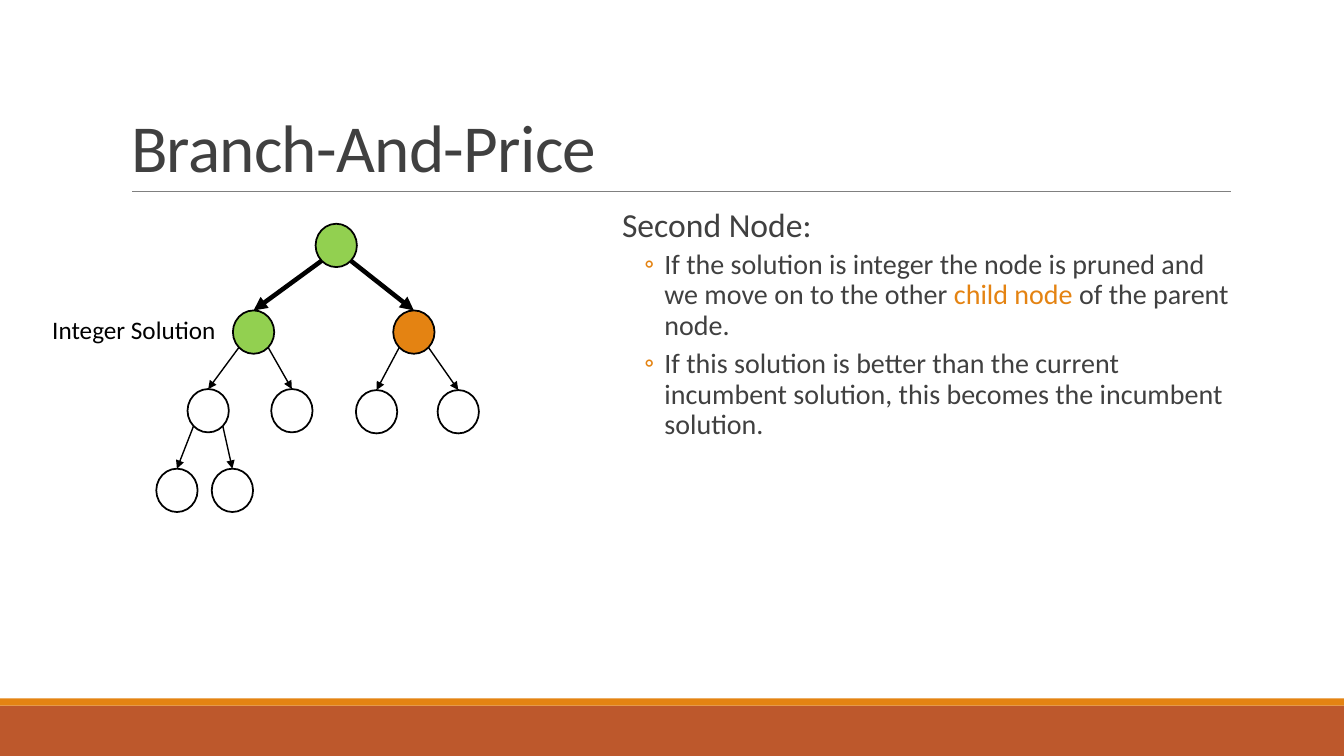
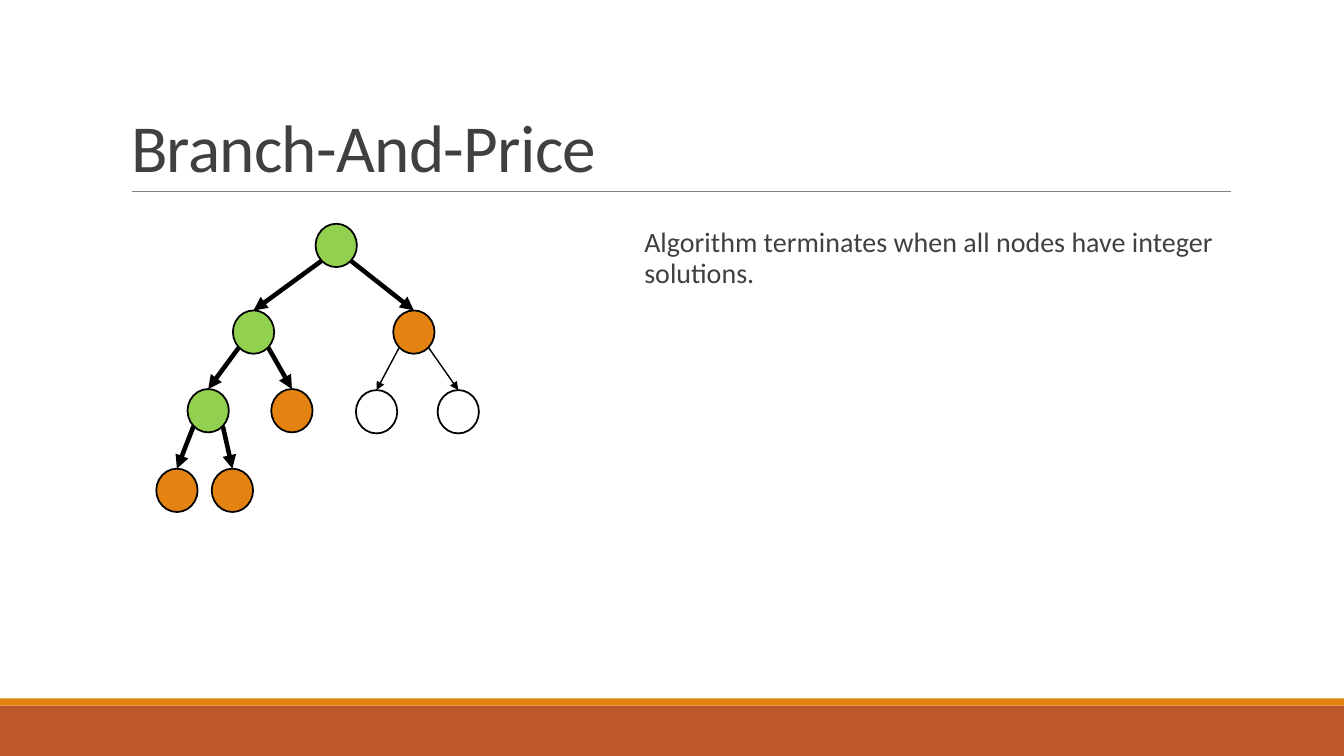
from lxml import etree
from pptx import Presentation
from pptx.dml.color import RGBColor
from pptx.enum.shapes import MSO_CONNECTOR, MSO_SHAPE
from pptx.enum.text import MSO_ANCHOR, MSO_AUTO_SIZE, PP_ALIGN
from pptx.oxml.ns import qn
from pptx.util import Pt

RECT, OVAL = MSO_SHAPE.RECTANGLE, MSO_SHAPE.OVAL
STRAIGHT = MSO_CONNECTOR.STRAIGHT
LEFT, TOP, BOTTOM = PP_ALIGN.LEFT, MSO_ANCHOR.TOP, MSO_ANCHOR.BOTTOM
NO_FIT = MSO_AUTO_SIZE.NONE

PX = 9144  # 100 px to the inch
SLIDE_W, SLIDE_H = 1333, 750
FONT = "Calibri"
DARK, BLACK, WHITE, GRAY = "404040", "000000", "FFFFFF", "808080"
GREEN, ORANGE, RUST = "92D050", "E48312", "BD582C"

# Tree nodes: name -> (parent, side of the parent, left, top)
NODE_W, NODE_H = 41, 43
TREE = {
    "root": (None, 0, 313, 222),
    "left": ("root", -1, 231, 308),
    "right": ("root", 1, 390, 308),
    "left.left": ("left", -1, 186, 386),
    "left.right": ("left", 1, 269, 386),
    "right.left": ("right", -1, 353, 387),
    "right.right": ("right", 1, 434, 387),
    "left.left.left": ("left.left", -1, 155, 465),
    "left.left.right": ("left.left", 1, 210, 465),
}

# Body paragraphs: (style, [(text, colour), ...])
STYLES = {
    "heading": dict(size=24, before=12, after=2, margin=0, hang=0),
    "bullet": dict(size=20, before=2, after=4, margin=42, hang=20, bullet="◦"),
    "plain": dict(size=20, before=2, after=4, margin=22, hang=0),
}
SLIDES = [
    {
        "title": "Branch-And-Price",
        "body_top": 202,
        "body": [
            ("heading", [("Second Node:", DARK)]),
            ("bullet", [
                ("If the solution is integer the node is pruned and we move on to the other ", DARK),
                ("child node ", ORANGE),
                ("of the parent node.", DARK),
            ]),
            ("bullet", [
                ("If this solution is better than the current incumbent solution, "
                 "this becomes the incumbent solution.", DARK),
            ]),
        ],
        "fills": {"root": GREEN, "left": GREEN, "right": ORANGE},
        "label": "Integer Solution",
    },
    {
        "title": "Branch-And-Price",
        "body_top": 222,
        "body": [
            ("plain", [("Algorithm terminates when all nodes have integer solutions.", DARK)]),
        ],
        "fills": {
            "root": GREEN, "left": GREEN, "right": ORANGE,
            "left.left": GREEN, "left.right": ORANGE,
            "left.left.left": ORANGE, "left.left.right": ORANGE,
        },
        "label": None,
    },
]


def px(*lengths):
    return [round(length * PX) for length in lengths]


def rgb(color):
    return RGBColor.from_string(color)


def add_text(para, text, size=18, color=BLACK, spacing=None):
    span = para.add_run()
    span.text = text
    span.font.name, span.font.size = FONT, Pt(size)
    span.font.color.rgb = rgb(color)
    if spacing is not None:
        span.font._element.set("spc", str(round(spacing * 100)))


def format_frame(frame, inset_x=10, anchor=TOP, wrap=True):
    frame.word_wrap, frame.auto_size = wrap, NO_FIT
    frame.vertical_anchor = anchor
    frame.margin_left, frame.margin_right = px(inset_x, inset_x)
    frame.margin_top, frame.margin_bottom = px(5, 5)


def format_para(para, before, after, margin, hang, bullet=None):
    para.line_spacing = 0.9
    para.space_before, para.space_after = Pt(before), Pt(after)
    props = para._p.get_or_add_pPr()
    props.set("marL", str(margin * PX))
    props.set("indent", str(-hang * PX))
    if bullet:
        tint = etree.SubElement(props, qn("a:buClr"))
        etree.SubElement(tint, qn("a:srgbClr"), val=ORANGE)
        etree.SubElement(props, qn("a:buFont"), typeface=FONT)
        etree.SubElement(props, qn("a:buChar"), char=bullet)


def add_filled(page, kind, at, fill, line=None, width=1.25):
    shape = page.shapes.add_shape(kind, *px(*at))
    shape.shadow.inherit = False
    shape.fill.solid()
    shape.fill.fore_color.rgb = rgb(fill)
    if line:
        shape.line.color.rgb = rgb(line)
        shape.line.width = Pt(width)
    else:
        shape.line.fill.background()
    return shape


def add_line(page, start, end, color, width, arrow=False):
    line = page.shapes.add_connector(STRAIGHT, *px(*start, *end))
    line.line.color.rgb = rgb(color)
    line.line.width = Pt(width)
    if arrow:
        etree.SubElement(line.line._get_or_add_ln(), qn("a:tailEnd"), type="triangle")
    etree.SubElement(line._element.spPr, qn("a:effectLst"))
    return line


def add_decor(page):
    """Draw the bands and the title rule, then hand them to the layout."""
    decor = [
        add_filled(page, RECT, (0, 700, SLIDE_W, 50), RUST),
        add_filled(page, RECT, (0, 693, SLIDE_W, 7), ORANGE),
        add_line(page, (131, 190), (1221, 190), GRAY, 0.5),
    ]
    for part in decor:
        page.slide_layout.shapes.element.append(part.element)


def add_title(page, text):
    title = page.shapes.title
    title.left, title.top, title.width, title.height = px(120, 31, 1100, 159)
    format_frame(title.text_frame, anchor=BOTTOM)
    para = title.text_frame.paragraphs[0]
    para.alignment, para.line_spacing = LEFT, 0.85
    add_text(para, text, size=48, color=DARK, spacing=-0.5)


def add_body(page, top, paragraphs):
    frame = page.shapes.add_textbox(*px(617, top, 603, 440)).text_frame
    format_frame(frame, inset_x=0)
    for index, (style, spans) in enumerate(paragraphs):
        para = frame.add_paragraph() if index else frame.paragraphs[0]
        layout = dict(STYLES[style])
        size = layout.pop("size")
        format_para(para, **layout)
        for text, color in spans:
            add_text(para, text, size=size, color=color)


def add_tree(page, fills):
    nodes = {
        name: add_filled(page, OVAL, (left, top, NODE_W, NODE_H), fills.get(name, WHITE), BLACK)
        for name, (_, _, left, top) in TREE.items()
    }
    diagonal = 0.5 ** 0.5
    for name, (parent, side, left, top) in TREE.items():
        if parent is None:
            continue
        # Leave the parent's outline at 45 degrees, arrive at the child's top
        _, _, parent_left, parent_top = TREE[parent]
        start = (parent_left + NODE_W / 2 * (1 + side * diagonal),
                 parent_top + NODE_H / 2 * (1 + diagonal))
        width = 3.25 if name in fills else 1
        arrow = add_line(page, start, (left + NODE_W / 2, top), BLACK, width, arrow=True)
        arrow.end_connect(nodes[name], 0)


def add_label(page, text):
    frame = page.shapes.add_textbox(*px(42, 307, 200, 40)).text_frame
    format_frame(frame)
    add_text(frame.paragraphs[0], text)


def main():
    deck = Presentation()
    deck.slide_width, deck.slide_height = px(SLIDE_W, SLIDE_H)
    title_only = deck.slide_layouts[5]
    for index, content in enumerate(SLIDES):
        page = deck.slides.add_slide(title_only)
        if index == 0:
            add_decor(page)
        add_title(page, content["title"])
        add_body(page, content["body_top"], content["body"])
        add_tree(page, content["fills"])
        if content["label"]:
            add_label(page, content["label"])
    deck.save("out.pptx")


if __name__ == "__main__":
    main()
